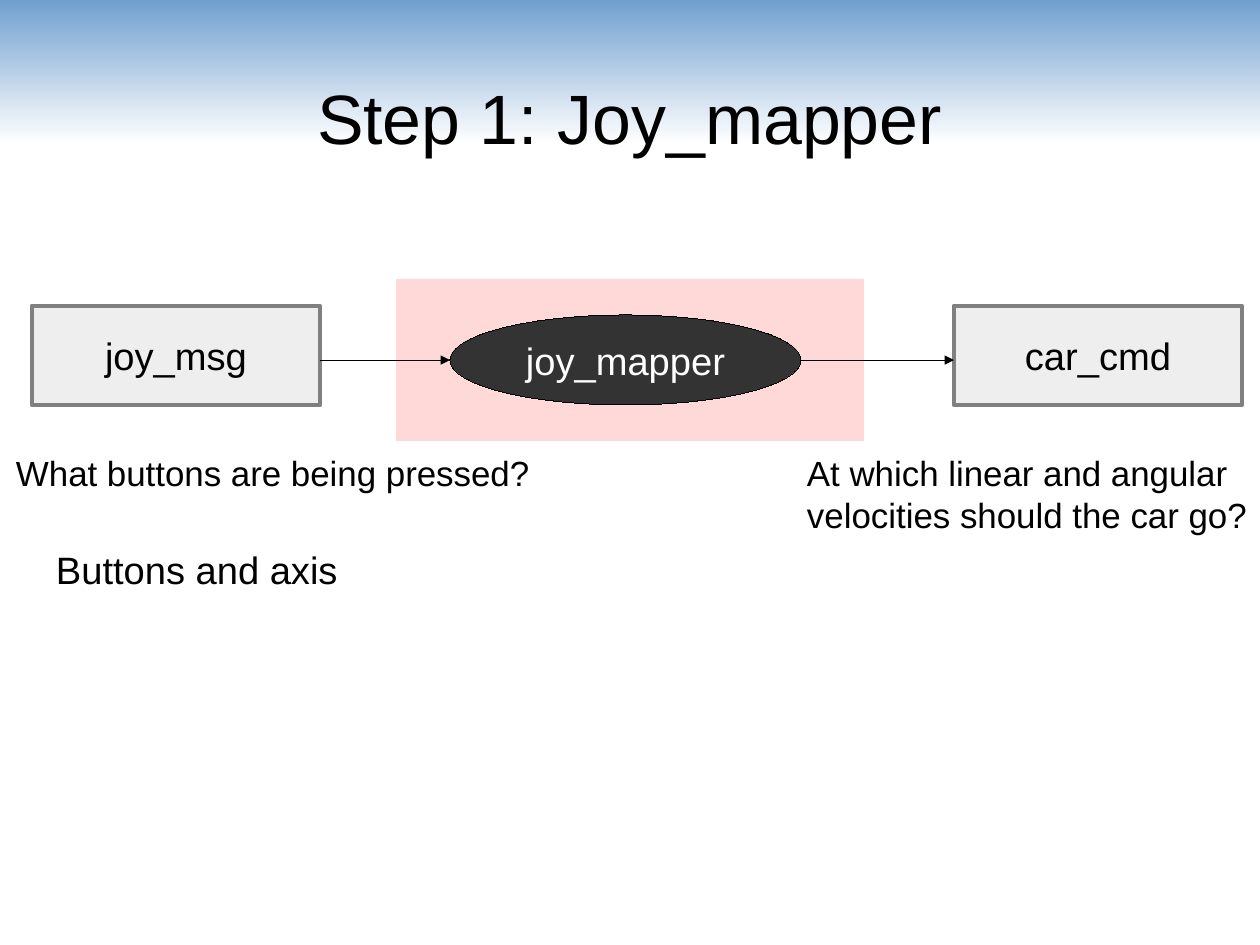
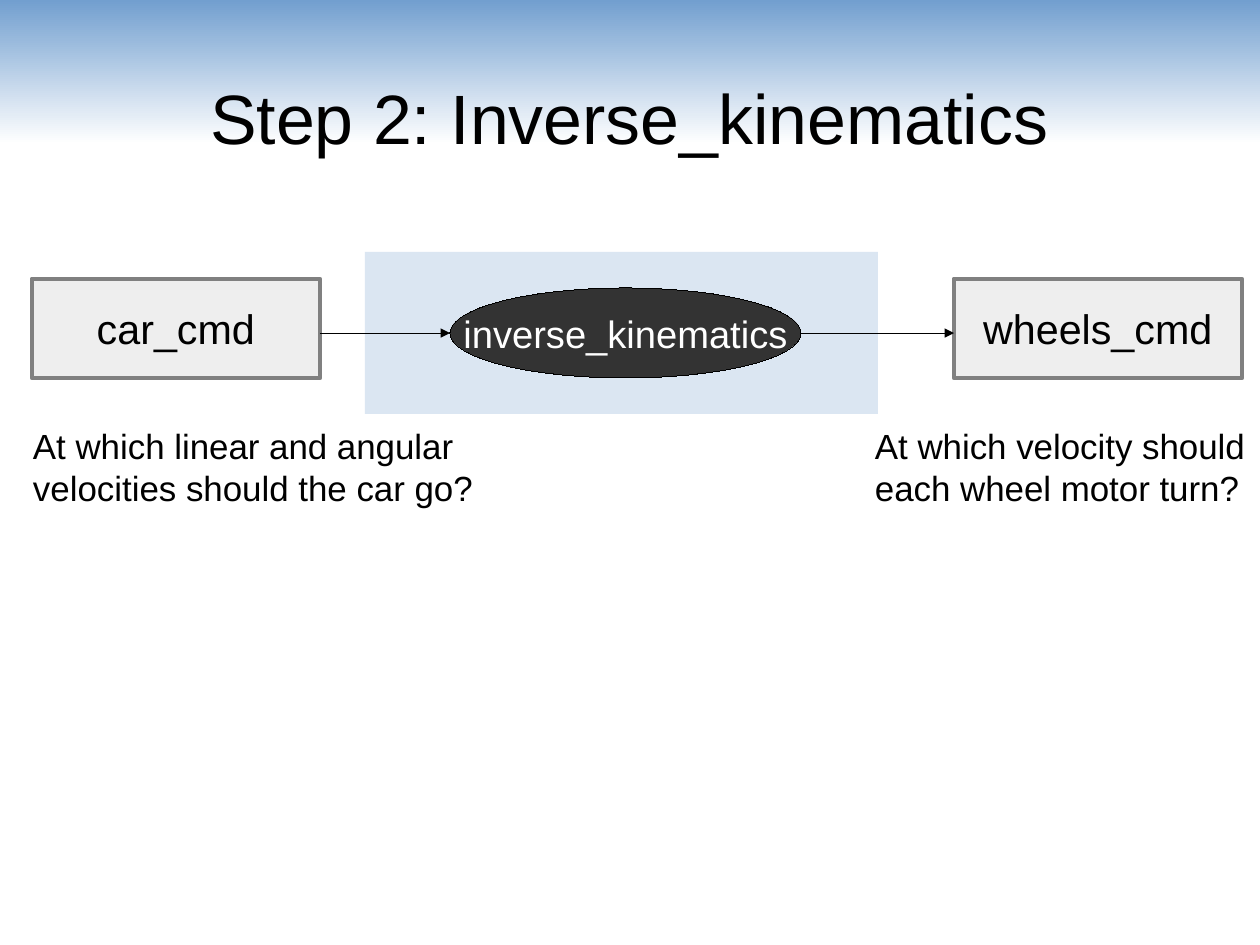
from dataclasses import dataclass

from lxml import etree
from pptx import Presentation
from pptx import util as u
from pptx.dml.color import RGBColor
from pptx.enum import shapes, text
from pptx.oxml.ns import qn

PX = 8000
WIDTH, HEIGHT = 1260, 945


@dataclass(frozen=True)
class Theme:
    font: str = "Arial"
    ink: str = "000000"
    paper: str = "FFFFFF"
    band: str = "729FCF"
    topic: str = "EEEEEE"
    topic_edge: str = "808080"
    node: str = "333333"
    title_size: int = 44
    body_size: int = 24
    note_size: int = 22


THEME = Theme()

SLIDES = [
    {
        "title": "Step 1: Joy_mapper",
        "axis": 360,
        "highlight": (396, 468, "FF6666"),
        "topics": ("joy_msg", "car_cmd"),
        "topic_size": 24,
        "node": "joy_mapper",
        "notes": [
            (5, 86, 537, 139, THEME.note_size, ["What buttons are being pressed?"]),
            (796, 86, 464, 153, THEME.note_size,
             ["At which linear and angular", "velocities should the car go?"]),
            (45, 180, 315, 72, THEME.body_size, ["Buttons and axis"]),
        ],
    },
    {
        "title": "Step 2: Inverse_kinematics",
        "axis": 333,
        "highlight": (365, 513, THEME.band),
        "topics": ("car_cmd", "wheels_cmd"),
        "topic_size": 26,
        "node": "inverse_kinematics",
        "notes": [
            (22, 86, 464, 153, THEME.note_size,
             ["At which linear and angular", "velocities should the car go?"]),
            (864, 86, 394, 121, THEME.note_size,
             ["At which velocity should", "each wheel motor turn?"]),
        ],
    },
]

BAND_HEIGHT = 144
TITLE_BOX = (63, 38, 1134, 158)
TOPIC_LEFTS = (32, 954)
TOPIC_WIDTH, TOPIC_HEIGHT, TOPIC_RISE = 288, 99, 54
NODE_LEFT, NODE_WIDTH, NODE_HEIGHT = 450, 351, 90
HIGHLIGHT_HEIGHT = 162
TOPIC_INSETS = (14, 8)
TEXT_INSETS = (11, 6)


def emu(*lengths):
    return [u.Emu(length * PX) for length in lengths]


def apply(target, values):
    for name, value in values.items():
        setattr(target, name, value)


def write(shape, lines, size, color=THEME.ink, insets=TEXT_INSETS,
          align=text.PP_ALIGN.CENTER, **frame_format):
    frame = shape.text_frame
    side, end = emu(*insets)
    apply(frame, {
        "margin_left": side, "margin_right": side,
        "margin_top": end, "margin_bottom": end,
        "word_wrap": False,
        "vertical_anchor": text.MSO_ANCHOR.MIDDLE,
        **frame_format,
    })
    frame.text = "\n".join(lines)
    for paragraph in frame.paragraphs:
        paragraph.alignment = align
        apply(paragraph.font, {"name": THEME.font, "size": u.Pt(size)})
        paragraph.font.color.rgb = RGBColor.from_string(color)


def add_shape(slide, kind, box, fill=None, edge=None):
    shape = slide.shapes.add_shape(kind, *emu(*box))
    shape.shadow.inherit = False
    if fill:
        shape.fill.solid()
        shape.fill.fore_color.rgb = RGBColor.from_string(fill)
    if edge:
        shape.line.color.rgb = RGBColor.from_string(edge)
    else:
        shape.line.fill.background()
    return shape


def make_hairline(shape):
    line = shape._element.spPr.find(qn("a:ln"))
    line.set("w", "0")
    return line


def add_band(slide):
    band = add_shape(slide, shapes.MSO_SHAPE.RECTANGLE, (0, 0, WIDTH, BAND_HEIGHT))
    band.fill.gradient()
    band.fill.gradient_angle = 270
    for stop, color in zip(band.fill.gradient_stops, (THEME.band, THEME.paper)):
        stop.color.rgb = RGBColor.from_string(color)


def add_title(slide, title):
    box = slide.shapes.add_textbox(*emu(*TITLE_BOX))
    write(box, [title], THEME.title_size, insets=(0, 0), word_wrap=True)


def add_highlight(slide, left, width, color, axis):
    box = (left, axis - HIGHLIGHT_HEIGHT // 2, width, HIGHLIGHT_HEIGHT)
    highlight = add_shape(slide, shapes.MSO_SHAPE.RECTANGLE, box, color)
    tint = highlight._element.spPr.find(qn("a:solidFill"))[0]
    etree.SubElement(tint, qn("a:alpha")).set("val", "25000")


def add_topic(slide, left, axis, label, size):
    box = (left, axis - TOPIC_RISE, TOPIC_WIDTH, TOPIC_HEIGHT)
    topic = add_shape(slide, shapes.MSO_SHAPE.RECTANGLE, box, THEME.topic, THEME.topic_edge)
    topic.line.width = u.Pt(3)
    write(topic, [label], size, insets=TOPIC_INSETS)


def add_node(slide, axis, label):
    box = (NODE_LEFT, axis - NODE_HEIGHT // 2, NODE_WIDTH, NODE_HEIGHT)
    node = add_shape(slide, shapes.MSO_SHAPE.OVAL, box, THEME.node, THEME.ink)
    make_hairline(node)
    write(node, [label], THEME.body_size, THEME.paper)


def add_arrow(slide, start, end, axis):
    arrow = slide.shapes.add_connector(
        shapes.MSO_CONNECTOR.STRAIGHT, *emu(start, axis, end, axis))
    arrow.line.color.rgb = RGBColor.from_string(THEME.ink)
    etree.SubElement(make_hairline(arrow), qn("a:tailEnd")).set("type", "triangle")
    etree.SubElement(arrow._element.spPr, qn("a:effectLst"))


def add_note(slide, axis, left, drop, width, height, size, lines):
    note = slide.shapes.add_textbox(*emu(left, axis + drop, width, height))
    write(note, lines, size, align=text.PP_ALIGN.LEFT,
          vertical_anchor=text.MSO_ANCHOR.TOP,
          auto_size=text.MSO_AUTO_SIZE.SHAPE_TO_FIT_TEXT)


def build_slide(presentation, content):
    slide = presentation.slides.add_slide(presentation.slide_layouts[6])
    axis = content["axis"]
    add_band(slide)
    add_highlight(slide, *content["highlight"], axis)
    add_title(slide, content["title"])
    for left, label in zip(TOPIC_LEFTS, content["topics"]):
        add_topic(slide, left, axis, label, content["topic_size"])
    add_node(slide, axis, content["node"])
    add_arrow(slide, TOPIC_LEFTS[0] + TOPIC_WIDTH, NODE_LEFT, axis)
    add_arrow(slide, NODE_LEFT + NODE_WIDTH, TOPIC_LEFTS[1], axis)
    for note in content["notes"]:
        add_note(slide, axis, *note)


def main():
    presentation = Presentation()
    presentation.slide_width, presentation.slide_height = emu(WIDTH, HEIGHT)
    for content in SLIDES:
        build_slide(presentation, content)
    presentation.save("out.pptx")


if __name__ == "__main__":
    main()
